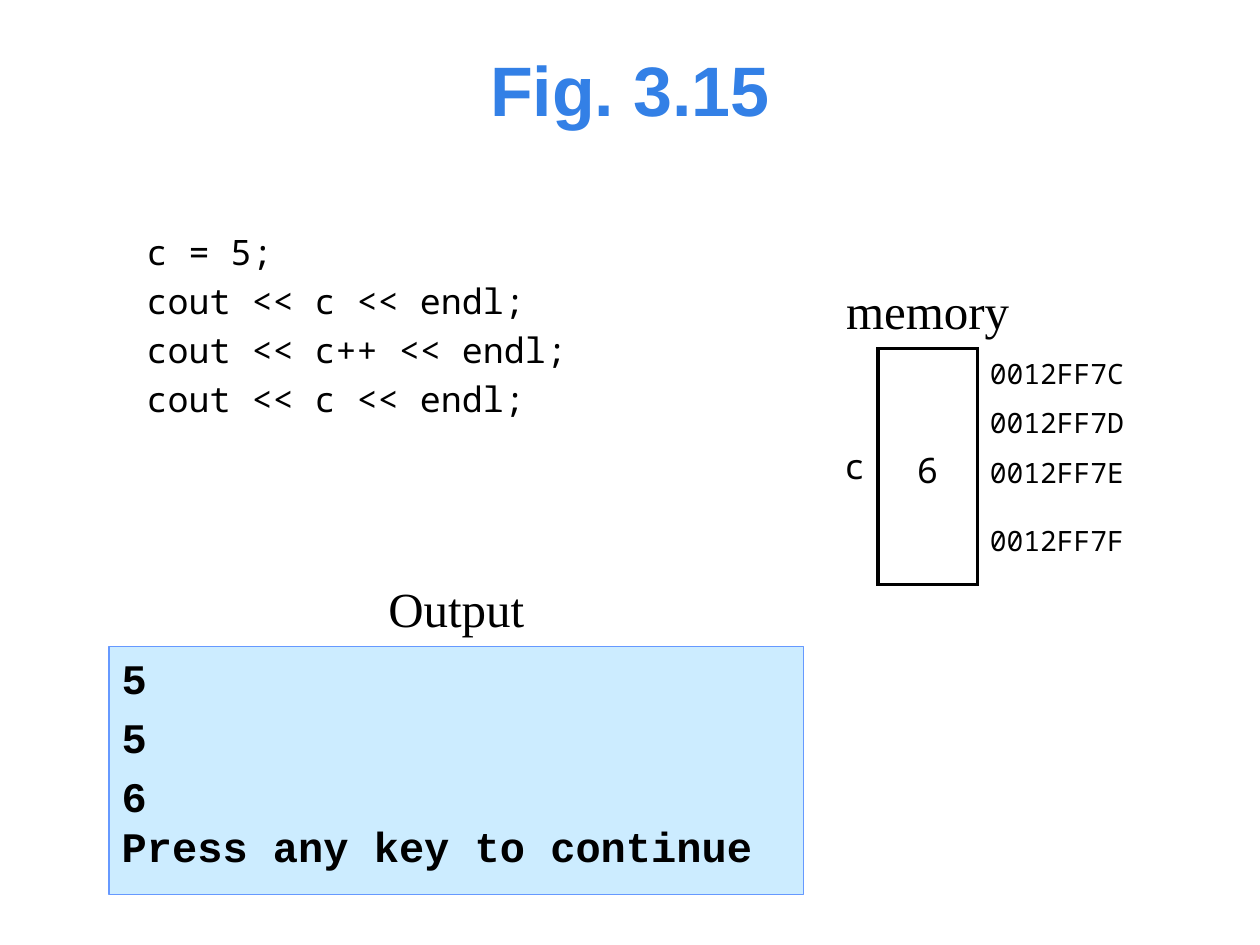
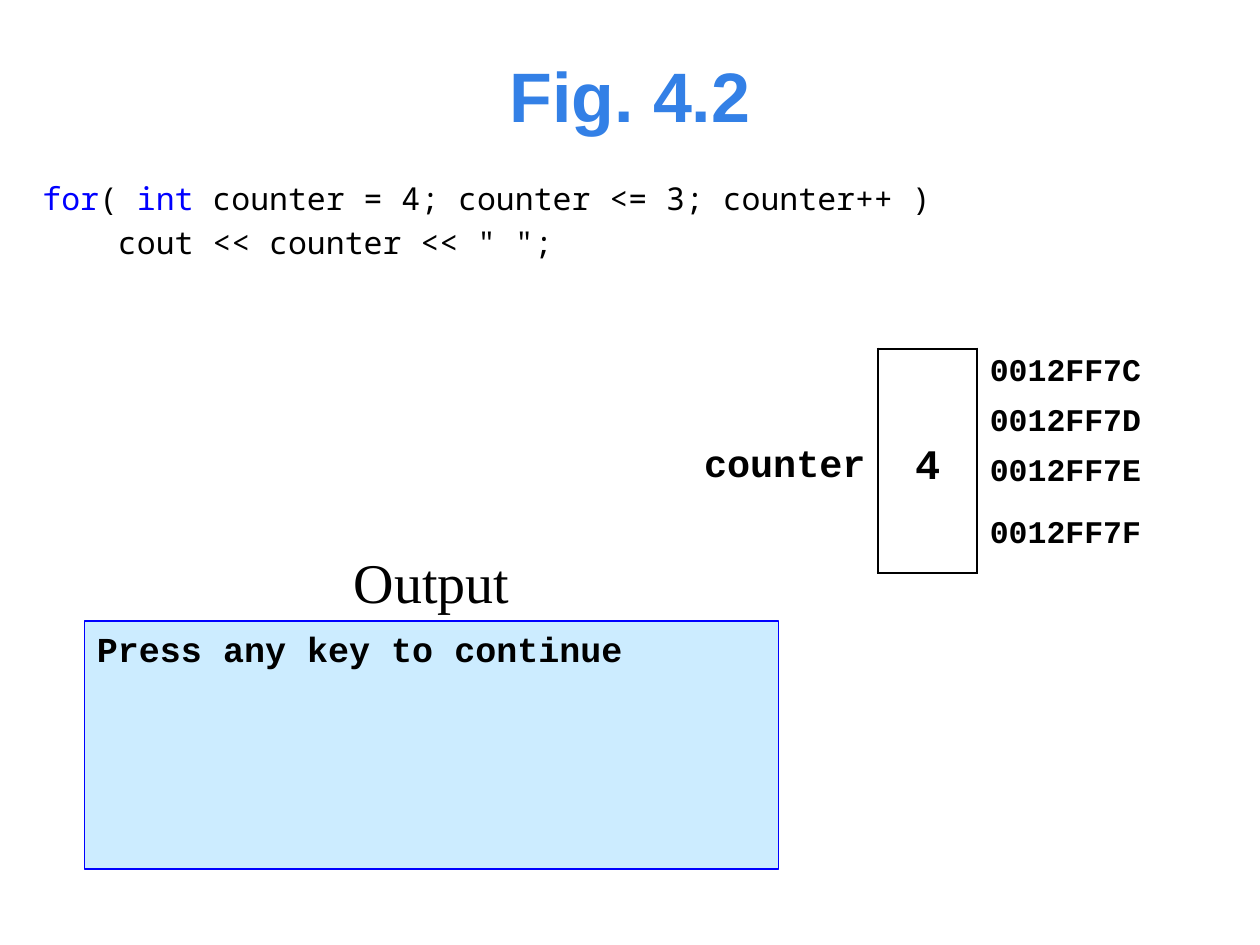
"""Builds two slides showing code, the memory it uses and the output it prints."""
import pptx
import pptx.dml.color
import pptx.enum.text
import pptx.oxml
import pptx.oxml.ns
import pptx.util

Pt = pptx.util.Pt
Align = pptx.enum.text.PP_ALIGN
Anchor = pptx.enum.text.MSO_ANCHOR

BLACK, BLUE, TITLE_BLUE, PALE_BLUE = "000000", "0000FF", "3380E6", "CCECFF"
PLAIN_TABLE = "{2D5ABB26-0587-4C30-8999-92F81FD0307C}"
ADDRESSES = ["0012FF7C", "0012FF7D", "0012FF7E", "0012FF7F"]
CONTINUE = "Press any key to continue"
TITLE = {"name": "Arial", "size": 40, "bold": True, "color": TITLE_BLUE}
LABEL = {"name": "Times New Roman", "size": 28}
CODE = {"name": "Noto Sans Mono", "size": 20}
CONSOLE = {"name": "Courier New", "size": 24, "bold": True}
MEMORY_LEFT, MEMORY_TOP, MEMORY_WIDTH = 17.7, 7.03, 2
OUTPUT_WIDTH, OUTPUT_HEIGHT, LABEL_WIDTH = 14, 5, 4


def rgb(value):
    return pptx.dml.color.RGBColor.from_string(value)


def assign(target, values):
    for name, value in values.items():
        setattr(target, name, value)


class Deck:
    """Holds the presentation and the current slide on a grid 25.4 columns wide and 19.05 rows high."""

    def __init__(self):
        self.presentation = pptx.Presentation()
        assign(self.presentation, {"slide_width": self.grid(25.4), "slide_height": self.grid(19.05)})
        self.slide = None

    def grid(self, cells):
        return pptx.util.Cm(cells)

    def place(self, shape, box):
        assign(shape, dict(zip(("left", "top", "width", "height"), map(self.grid, box))))

    def add_slide(self, title, box):
        self.slide = self.presentation.slides.add_slide(self.presentation.slide_layouts[3])
        self.place(self.slide.shapes.title, box)
        self.add_lines(self.slide.shapes.title.text_frame, [title], TITLE, Align.CENTER, Anchor.MIDDLE)

    def add_lines(self, frame, lines, font, alignment=Align.LEFT, anchor=Anchor.TOP, spacing=1.0, gaps=None):
        assign(frame, {"word_wrap": True, "auto_size": pptx.enum.text.MSO_AUTO_SIZE.NONE,
                       "vertical_anchor": anchor})
        for index, line in enumerate(lines):
            paragraph = frame.paragraphs[0] if index == 0 else frame.add_paragraph()
            gap = gaps[index] if gaps else 0.2
            before = Pt(font["size"] * gap) if index else Pt(0)
            assign(paragraph, {"alignment": alignment, "line_spacing": spacing, "space_before": before})
            for part in [line] if isinstance(line, str) else line:
                text, color = (part, font.get("color", BLACK)) if isinstance(part, str) else part
                run = paragraph.add_run()
                run.text = text
                assign(run.font, {"name": font["name"], "size": Pt(font["size"]),
                                  "bold": font.get("bold", False)})
                run.font.color.rgb = rgb(color)

    def body(self, index, box, lines, font, gaps=None):
        shape = self.slide.placeholders[index]
        self.place(shape, box)
        self.add_lines(shape.text_frame, lines, font, gaps=gaps)
        for paragraph in shape.text_frame.paragraphs:
            properties = paragraph._p.get_or_add_pPr()
            properties.set("marL", "0")
            properties.set("indent", "0")
            properties.append(properties.makeelement(pptx.oxml.ns.qn("a:buNone"), {}))
        return shape

    def label(self, text, center, bottom, style=LABEL, height=1.5, anchor=Anchor.TOP):
        box = (center - LABEL_WIDTH / 2, bottom - height, LABEL_WIDTH, height)
        shape = self.slide.shapes.add_textbox(*map(self.grid, box))
        self.add_lines(shape.text_frame, [text], style, Align.CENTER, anchor)

    def output(self, left, top, lines, font, line_color, gaps=None, **label_options):
        shape = self.body(2, (left, top, OUTPUT_WIDTH, OUTPUT_HEIGHT), lines, font, gaps)
        shape.fill.solid()
        shape.fill.fore_color.rgb = rgb(PALE_BLUE)
        shape.line.color.rgb = rgb(line_color)
        shape.line.width = Pt(0.75)
        self.label("Output", left + OUTPUT_WIDTH / 2, top, **label_options)

    def border(self, cell, sides, width):
        properties = cell._tc.get_or_add_tcPr()
        for position, side in enumerate(sides):
            properties.insert(position, pptx.oxml.parse_xml(
                f'<a:ln{side} {pptx.oxml.ns.nsdecls("a")} w="{int(Pt(width))}"><a:solidFill>'
                f'<a:srgbClr val="{BLACK}"/></a:solidFill></a:ln{side}>'))

    def memory(self, name, value, widths, fonts, margins, border_width):
        """Draws one variable as a bordered box between its name and its byte addresses."""
        rows = len(ADDRESSES)
        box = (MEMORY_LEFT - widths[0], MEMORY_TOP, sum(widths), rows)
        table = self.slide.shapes.add_table(rows, len(widths), *map(self.grid, box)).table
        table._tbl.tblPr.find(pptx.oxml.ns.qn("a:tableStyleId")).text = PLAIN_TABLE
        assign(table, {"first_row": False, "horz_banding": False})
        for column, width in zip(table.columns, widths):
            column.width = self.grid(width)
        for column in (0, 1):
            table.cell(0, column).merge(table.cell(rows - 1, column))
        texts = {(0, 0): name, (0, 1): value}
        texts.update({(row, 2): address for row, address in enumerate(ADDRESSES)})
        alignments = (Align.RIGHT, Align.CENTER, Align.LEFT)
        sides = ("left", "top", "right", "bottom")
        for (row, column), text in texts.items():
            cell = table.cell(row, column)
            cell.fill.background()
            cell.vertical_anchor = Anchor.MIDDLE
            assign(cell, {f"margin_{side}": pptx.util.Inches(margin)
                          for side, margin in zip(sides, margins[column])})
            self.add_lines(cell.text_frame, [text], fonts[column], alignments[column], Anchor.MIDDLE,
                           spacing=1.0 if column == 2 else 1.4)
        box_sides = {0: "LRTB", rows - 1: "LRB"}
        for row in range(rows):
            for column, edges in enumerate(("R", box_sides.get(row, "LR"), "L")):
                self.border(table.cell(row, column), edges, border_width)


def main():
    deck = Deck()

    deck.add_slide("Fig. 3.15", (0.7, 0.53, 24, 2.5))
    deck.body(1, (2.7, 4.52, 9, 4.5),
              ["c = 5;", "cout << c << endl;", "cout << c++ << endl;", "cout << c << endl;"], CODE)
    deck.memory("c", "6", (1.5, MEMORY_WIDTH, 3.5), (CODE, CODE, {**CODE, "size": 16}),
                ((0.1, 0, 0.1, 0.16), (0, 0, 0, 0.1), (0.1, 0, 0.1, 0)), 2.25)
    deck.label("memory", MEMORY_LEFT + MEMORY_WIDTH / 2, MEMORY_TOP)
    deck.output(2.2, 13.03, ["5", "5", "6", CONTINUE], CONSOLE, "6699FF", gaps=(0, 0.2, 0.2, 0))

    deck.add_slide("Fig. 4.2", (1.7, 1.09, 22, 1.62))
    deck.body(1, (0.6, 3.48, 20.25, 2.2),
              [[("for", BLUE), "( ", ("int", BLUE), " counter = 4; counter <= 3; counter++ )"],
               "    cout << counter << \" \";"], {**CODE, "size": 18})
    variable_margins = (0.1, 0.02, 0.1, 0.05)
    deck.memory("counter", "4", (4, MEMORY_WIDTH, 4),
                ({**CONSOLE, "size": 22}, CONSOLE, {**CONSOLE, "size": 18}),
                (variable_margins, variable_margins, (0.1, 0.04, 0.1, 0.04)), 1.5)
    deck.output(1.7, 12.52, [CONTINUE], {**CONSOLE, "size": 20}, BLUE,
                style={**LABEL, "size": 32}, height=2, anchor=Anchor.BOTTOM)

    deck.presentation.save("out.pptx")


if __name__ == "__main__":
    main()
